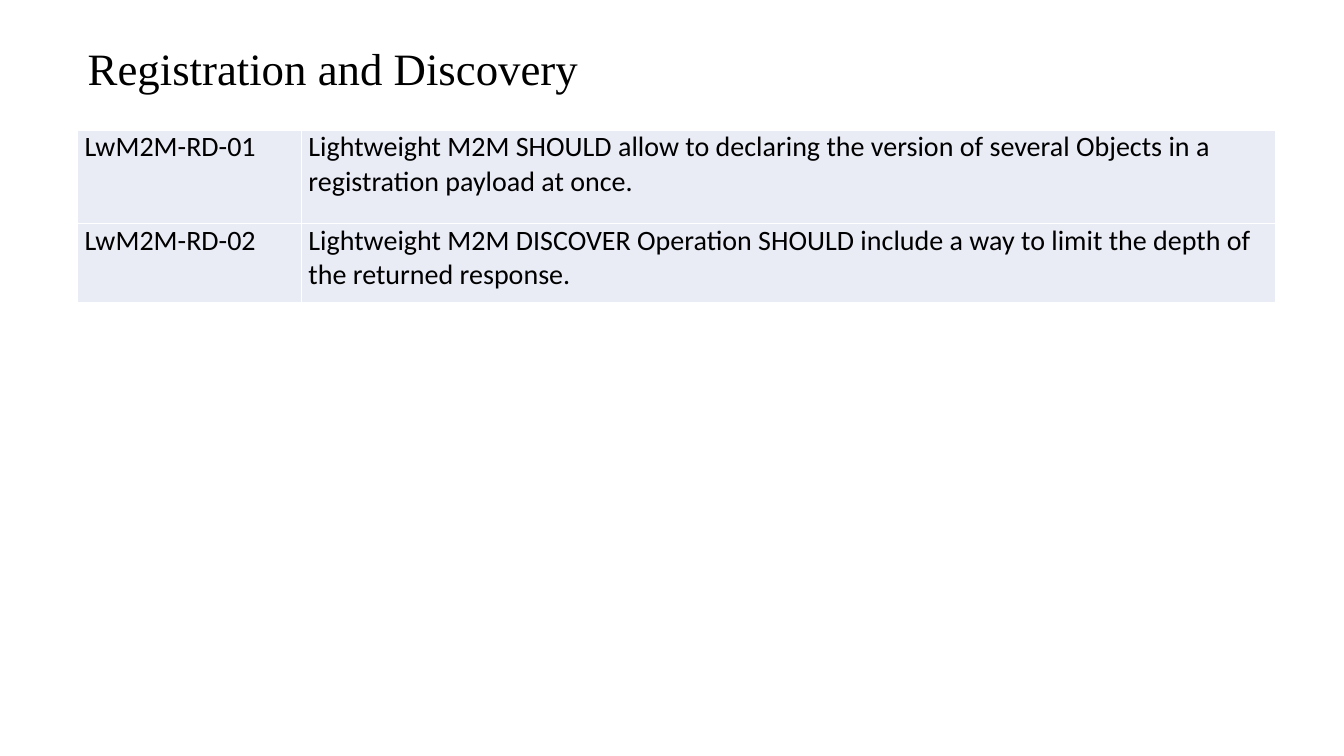
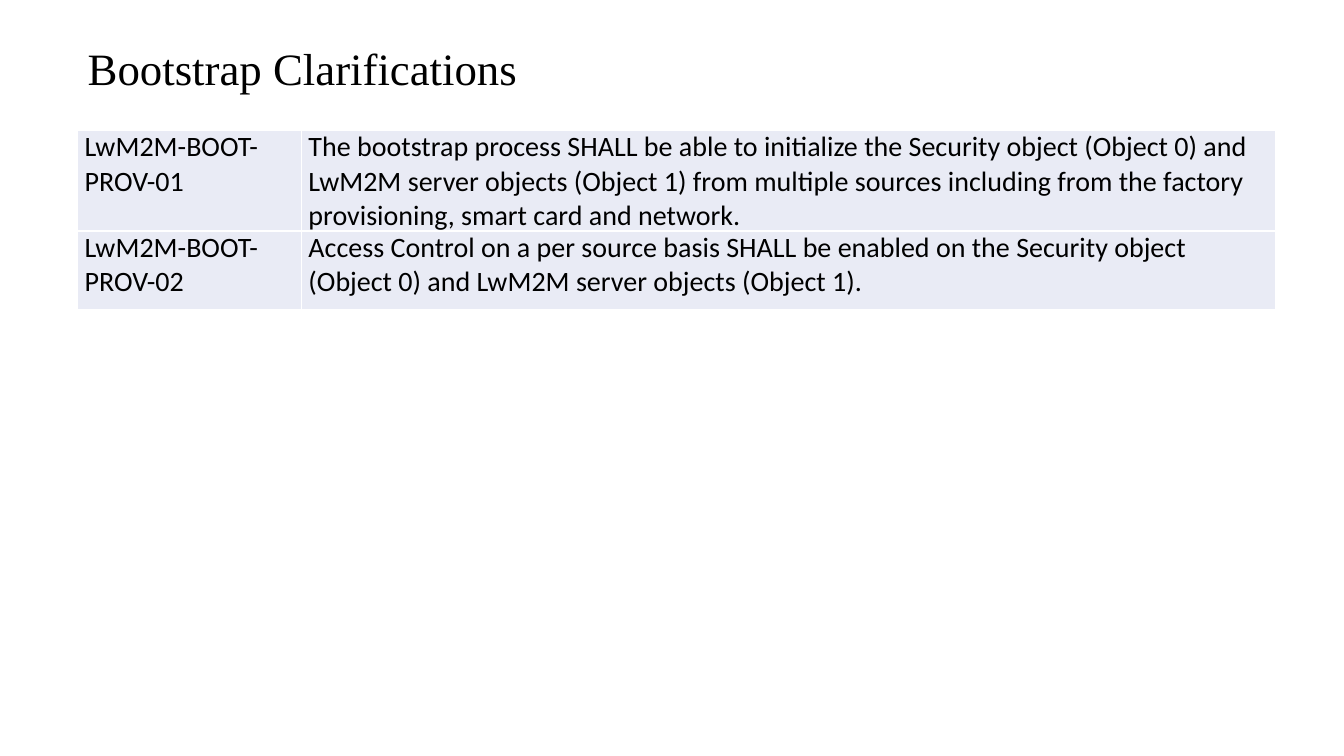
from dataclasses import dataclass

from lxml import etree
from pptx import Presentation
from pptx.dml.color import RGBColor
from pptx.enum.text import MSO_ANCHOR, MSO_AUTO_SIZE, PP_ALIGN
from pptx.oxml.ns import qn
from pptx.util import Inches, Pt

LEFT = PP_ALIGN.LEFT
MIDDLE = MSO_ANCHOR.MIDDLE
FIT_SHAPE = MSO_AUTO_SIZE.SHAPE_TO_FIT_TEXT
TITLE_ONLY = 5


@dataclass(frozen=True)
class Theme:
    """Colours, fonts and type sizes of the deck."""
    ink: str = "000000"
    rule: str = "FFFFFF"
    band: str = "E9EBF5"
    head_font: str = "Times New Roman"
    body_font: str = "Calibri"
    head_size: int = 32
    body_size: int = 20
    rule_size: int = 1


def apply(target, values):
    """Set each named attribute of the target."""
    for name, value in values.items():
        setattr(target, name, value)


class Deck:
    """Holds the theme, the presentation and the current slide."""

    def __init__(self, theme):
        """Start an empty wide presentation."""
        self.theme = theme
        self.show = Presentation()
        apply(self.show, {"slide_width": Inches(13.33),
                          "slide_height": Inches(7.5)})
        self.slide = None

    def label(self, para, text, font, size):
        """Put one styled run into a paragraph."""
        run = para.add_run()
        run.text = text
        apply(run.font, {"name": font, "size": Pt(size), "bold": False})
        run.font.color.rgb = RGBColor.from_string(self.theme.ink)

    def title(self, text):
        """Add a slide and fill its title."""
        layout = self.show.slide_layouts[TITLE_ONLY]
        self.slide = self.show.slides.add_slide(layout)
        shape = self.slide.shapes.title
        apply(shape, {"left": Inches(0.77), "top": Inches(0.35),
                      "width": Inches(11.26), "height": Inches(0.64)})
        frame = shape.text_frame
        apply(frame, {"word_wrap": True, "auto_size": FIT_SHAPE,
                      "vertical_anchor": MIDDLE})
        para = frame.paragraphs[0]
        para.alignment = LEFT
        self.label(para, text, self.theme.head_font, self.theme.head_size)

    def border(self, cell):
        """Draw a thin rule on all four sides of a cell."""
        props = cell._tc.get_or_add_tcPr()
        for spot, side in enumerate(("lnL", "lnR", "lnT", "lnB")):
            line = etree.Element(qn("a:" + side),
                                 w=str(Pt(self.theme.rule_size)))
            fill = etree.SubElement(line, qn("a:solidFill"))
            etree.SubElement(fill, qn("a:srgbClr"), val=self.theme.rule)
            props.insert(spot, line)

    def cell(self, cell, text):
        """Fill, frame and label one table cell."""
        apply(cell, {"margin_left": Inches(0.07), "margin_right": Inches(0.07),
                     "margin_top": 0, "margin_bottom": 0})
        cell.fill.solid()
        cell.fill.fore_color.rgb = RGBColor.from_string(self.theme.band)
        self.border(cell)
        para = cell.text_frame.paragraphs[0]
        apply(para, {"space_before": Pt(1), "space_after": Pt(1)})
        self.label(para, text, self.theme.body_font, self.theme.body_size)

    def table(self, rows):
        """Add a table of requirement names and their wording."""
        widths, heights = (2.22, 9.66), (0.93, 0.78)
        table = self.slide.shapes.add_table(
            len(rows), len(widths), Inches(0.77), Inches(1.29),
            Inches(sum(widths)), Inches(sum(heights))).table
        apply(table, {"first_row": False, "horz_banding": False})
        for column, width in zip(table.columns, widths):
            column.width = Inches(width)
        for row, height, texts in zip(table.rows, heights, rows):
            row.height = Inches(height)
            for cell, text in zip(row.cells, texts):
                self.cell(cell, text)


SLIDES = {
    "Registration and Discovery": [
        ("LwM2M-RD-01",
         "Lightweight M2M SHOULD allow to declaring the version of several "
         "Objects in a registration payload at once."),
        ("LwM2M-RD-02",
         "Lightweight M2M DISCOVER Operation SHOULD include a way to limit "
         "the depth of the returned response."),
    ],
    "Bootstrap Clarifications": [
        ("LwM2M-BOOT-PROV-01",
         "The bootstrap process SHALL be able to initialize the Security "
         "object (Object 0) and LwM2M server objects (Object 1) from multiple "
         "sources including from the factory provisioning, smart card and "
         "network."),
        ("LwM2M-BOOT-PROV-02",
         "Access Control on a per source basis SHALL be enabled on the "
         "Security object (Object 0) and LwM2M server objects (Object 1)."),
    ],
}

deck = Deck(Theme())
for heading, rows in SLIDES.items():
    deck.title(heading)
    deck.table(rows)
deck.show.save("out.pptx")
